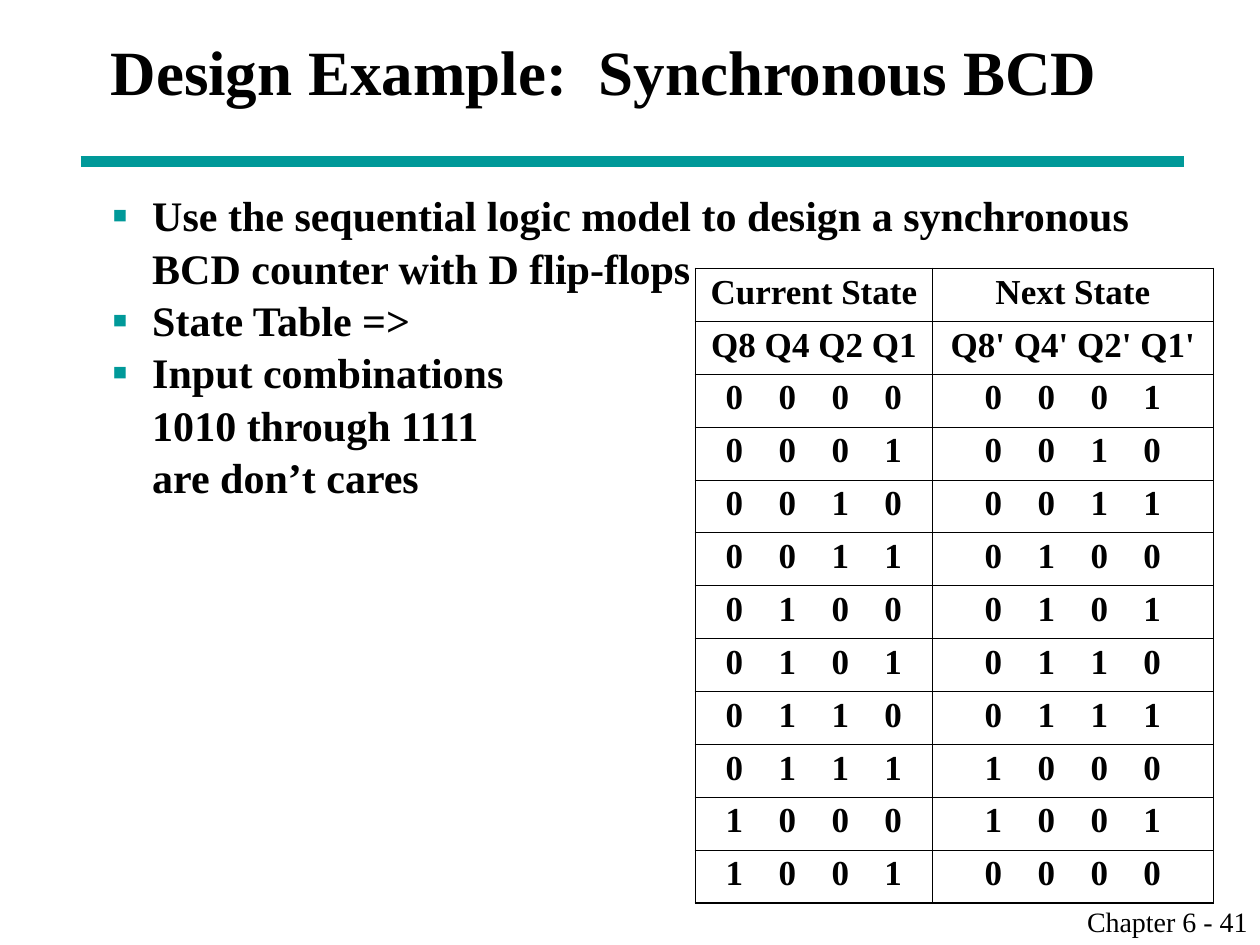
from dataclasses import dataclass
from lxml.etree import SubElement
from pptx import Presentation
from pptx.dml.color import RGBColor as Rgb
from pptx.enum.shapes import MSO_CONNECTOR as Connector
from pptx.enum.text import MSO_ANCHOR as Anchor, PP_ALIGN as Align
from pptx.oxml.ns import qn
from pptx.slide import Slide
from pptx.util import Inches, Pt

COLORS = {"ink": "000000", "accent": "009999"}
BIT_COUNT = 4
BIT_PITCH = 0.42
DIGIT_WIDTH = 0.14
COLUMN_WIDTHS = (1.88, 2.23)
ROW_HEIGHT = 0.42
THIN, THICK = 0.45, 1.08


@dataclass
class SlideWriter:
    slide: Slide
    font_name: str = "Times New Roman"

    def style(self, para, size, bold=True):
        font = para.font
        font.name, font.size, font.bold = self.font_name, Pt(size), bold
        font.color.rgb = Rgb.from_string(COLORS["ink"])

    def text(self, lines, left, top, width, height, size, bold=True,
             align=Align.LEFT, anchor=Anchor.TOP, bullets=False):
        box = self.slide.shapes.add_textbox(
            Inches(left), Inches(top), Inches(width), Inches(height))
        frame = box.text_frame
        frame.word_wrap = True
        frame.vertical_anchor = anchor
        for index, line in enumerate(lines):
            para = frame.add_paragraph() if index else frame.paragraphs[0]
            para.text = line
            para.alignment = align
            if bullets:
                para.line_spacing = 1.04
                self.bullet(para)
            self.style(para, size, bold)

    def bullet(self, para):
        props = para._p.get_or_add_pPr()
        props.set("marL", str(Inches(0.32)))
        props.set("indent", str(Inches(-0.32)))
        color = SubElement(props, qn("a:buClr"))
        SubElement(color, qn("a:srgbClr"), val=COLORS["accent"])
        SubElement(props, qn("a:buSzPct"), val="110000")
        SubElement(props, qn("a:buFont"), typeface=self.font_name)
        SubElement(props, qn("a:buChar"), char="▪")

    def rule(self, left, right, y, weight):
        line = self.slide.shapes.add_connector(
            Connector.STRAIGHT, Inches(left), Inches(y), Inches(right), Inches(y))
        line.line.color.rgb = Rgb.from_string(COLORS["accent"])
        line.line.width = Pt(weight)
        SubElement(line._element.spPr, qn("a:effectLst"))

    def borders(self, cell, weights):
        """Draw the cell's edges; weights are in points, keyed L, R, T, B."""
        props = cell._tc.get_or_add_tcPr()
        for position, (side, weight) in enumerate(weights.items()):
            edge = SubElement(props, qn(f"a:ln{side}"), w=str(Pt(weight)))
            fill = SubElement(edge, qn("a:solidFill"))
            SubElement(fill, qn("a:srgbClr"), val=COLORS["ink"])
            props.insert(position, edge)

    def bits(self, cell, value, column_width):
        """Write a state as evenly spaced binary digits, centred in the cell."""
        para = cell.text_frame.paragraphs[0]
        para.text = "\t".join(f"{value:0{BIT_COUNT}b}")
        para.alignment = Align.LEFT
        tabs = SubElement(para._p.get_or_add_pPr(), qn("a:tabLst"))
        for step in range(1, BIT_COUNT):
            SubElement(tabs, qn("a:tab"), pos=str(Inches(step * BIT_PITCH)), algn="l")
        text_width = (BIT_COUNT - 1) * BIT_PITCH + DIGIT_WIDTH
        cell.margin_left = Inches((column_width - text_width) / 2)

    def state_table(self, left, top, rows):
        row_count, column_count = len(rows), len(COLUMN_WIDTHS)
        table = self.slide.shapes.add_table(
            row_count, column_count, Inches(left), Inches(top),
            Inches(sum(COLUMN_WIDTHS)), Inches(row_count * ROW_HEIGHT)).table
        table.first_row = table.horz_banding = False
        for column, width in zip(table.columns, COLUMN_WIDTHS):
            column.width = Inches(width)
        for r, row in enumerate(rows):
            table.rows[r].height = Inches(ROW_HEIGHT)
            for c, value in enumerate(row):
                cell = table.cell(r, c)
                cell.fill.background()
                para = cell.text_frame.paragraphs[0]
                para.line_spacing = 0.95
                if isinstance(value, int):
                    self.bits(cell, value, COLUMN_WIDTHS[c])
                else:
                    para.text = value
                    para.alignment = Align.CENTER
                self.style(para, 20)
                self.borders(cell, {
                    "L": THICK if c == 0 else THIN,
                    "R": THICK if c == column_count - 1 else THIN,
                    "T": THICK if r == 0 else THIN,
                    "B": THICK if r == row_count - 1 else THIN})


def main():
    deck = Presentation()
    deck.slide_width, deck.slide_height = Inches(10), Inches(7.5)
    page = SlideWriter(deck.slides.add_slide(deck.slide_layouts[6]))

    page.rule(0.64, 9.4, 1.28, weight=6)
    page.text(["Chapter 6 - 41"], 7.58, 7.13, 2.42, 0.37, 16,
              bold=False, align=Align.RIGHT)
    page.text(["Design Example:  Synchronous BCD"], 0.78, 0, 8.5, 1.12, 36,
              anchor=Anchor.MIDDLE)
    page.text(["Use the sequential logic model to design a synchronous "
               "BCD counter with D flip-flops",
               "State Table =>",
               "Input combinations\v1010 through 1111\vare don’t cares"],
              0.79, 1.44, 8.5, 4.89, 24, bullets=True)

    headings = [("Current State", "Next State"),
                ("Q8 Q4 Q2 Q1", "Q8' Q4' Q2' Q1'")]
    transitions = [(state, (state + 1) % 10) for state in range(10)]
    page.state_table(5.52, 2.13, headings + transitions)
    deck.save("out.pptx")


if __name__ == "__main__":
    main()
